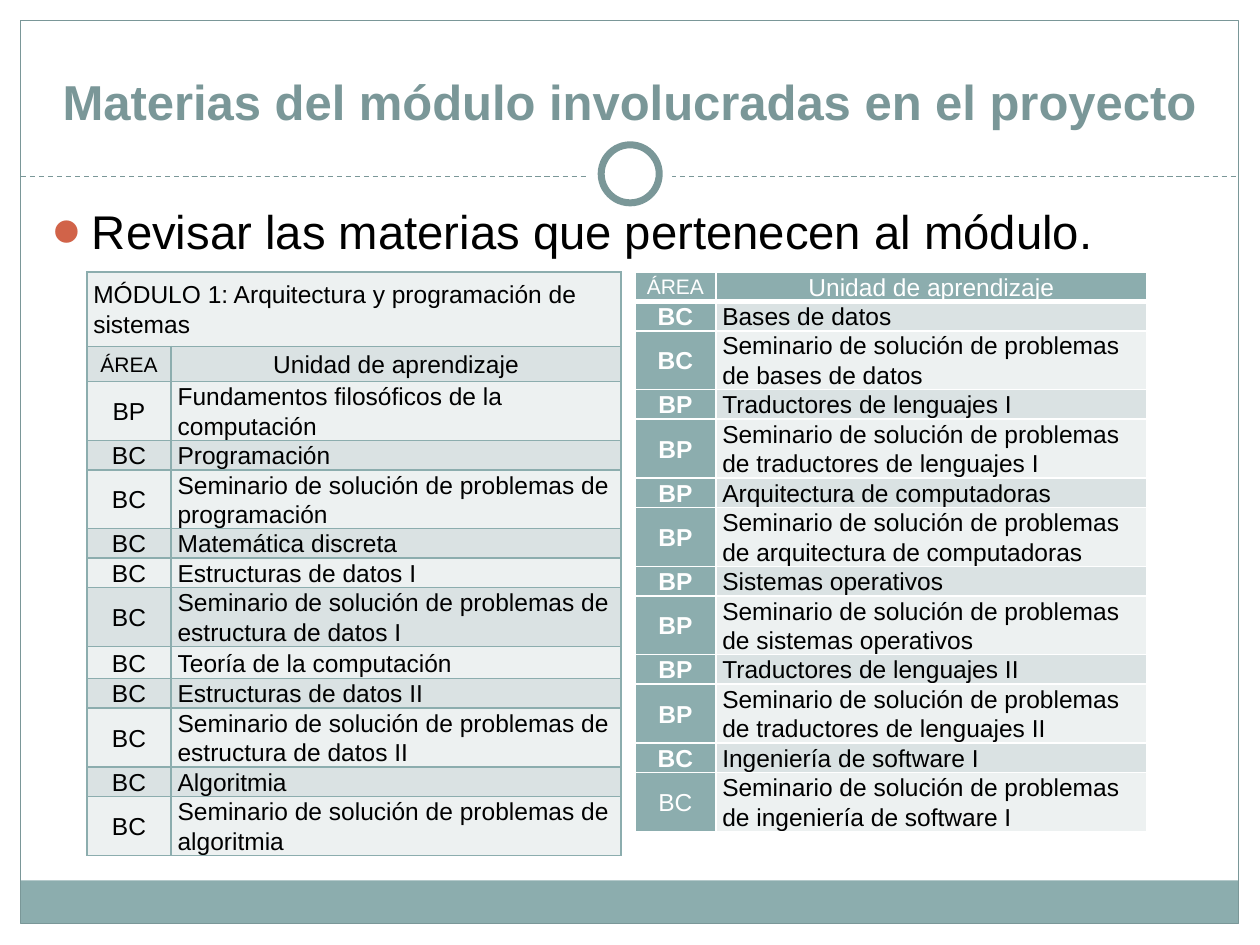
"""Build the slide listing the subjects of module 1 involved in the project."""
from dataclasses import dataclass
from typing import Optional

from lxml import etree
from pptx import Presentation
from pptx import util as u
from pptx.dml.color import RGBColor
from pptx.enum import shapes, text
from pptx.oxml.ns import qn

FONT = "Arial"
COLORS = {
    "white": "FFFFFF", "black": "000000", "teal": "8CADAE", "outline": "7A9798",
    "bullet": "D16349", "light": "EDF1F1", "dark": "DAE2E3",
}
LINE_HEIGHT = 0.59
SEMINAR = "Seminario de solución de problemas de "


@dataclass
class Decoration:
    kind: shapes.MSO_SHAPE
    left: float
    top: float
    width: float
    height: float
    fill: Optional[str] = None
    line: Optional[str] = None
    weight: float = 0.75


@dataclass
class Subject:
    area: str
    unit: str
    lines: int = 1
    bold: bool = True


@dataclass
class CellStyle:
    fill: str
    border: str
    color: str = "black"
    size: float = 14
    bold: bool = False
    centered: bool = False
    bottom: float = 1


RECT, OVAL = shapes.MSO_SHAPE.RECTANGLE, shapes.MSO_SHAPE.OVAL
DECORATIONS = [
    Decoration(RECT, 0, 0, 25.4, 3.86, "white"),
    Decoration(RECT, 0, 0, 0.42, 19.05, "white"),
    Decoration(RECT, 24.98, 0, 0.42, 19.05, "white"),
    Decoration(RECT, 0.42, 17.75, 24.55, 0.87, "teal"),
    Decoration(RECT, 0.42, 0.42, 24.55, 18.2, None, "outline"),
]
RINGS = [
    Decoration(OVAL, 11.85, 2.67, 1.7, 1.7, "white"),
    Decoration(OVAL, 12.12, 2.92, 1.17, 1.17, "white", "outline", 4),
]
FIRST_SUBJECTS = [
    Subject("BP", "Fundamentos filosóficos de la computación", 2),
    Subject("BC", "Programación"),
    Subject("BC", SEMINAR + "programación", 2),
    Subject("BC", "Matemática discreta"),
    Subject("BC", "Estructuras de datos I"),
    Subject("BC", SEMINAR + "estructura de datos I", 2),
    Subject("BC", "Teoría de la computación", 1.1),
    Subject("BC", "Estructuras de datos II"),
    Subject("BC", SEMINAR + "estructura de datos II", 2),
    Subject("BC", "Algoritmia"),
    Subject("BC", SEMINAR + "algoritmia", 2),
]
SECOND_SUBJECTS = [
    Subject("BC", "Bases de datos"),
    Subject("BC", SEMINAR + "bases de datos", 2),
    Subject("BP", "Traductores de lenguajes I"),
    Subject("BP", SEMINAR + "traductores de lenguajes I", 2),
    Subject("BP", "Arquitectura de computadoras"),
    Subject("BP", SEMINAR + "arquitectura de computadoras", 2),
    Subject("BP", "Sistemas operativos"),
    Subject("BP", SEMINAR + "sistemas operativos", 2),
    Subject("BP", "Traductores de lenguajes II"),
    Subject("BP", SEMINAR + "traductores de lenguajes II", 2),
    Subject("BC", "Ingeniería de software I"),
    Subject("BC", SEMINAR + "ingeniería de software I", 2, bold=False),
]


def rgb(name: str) -> RGBColor:
    return RGBColor.from_string(COLORS[name])


def add_run(paragraph, words: str, size: float, color: str, bold: bool = False) -> None:
    run = paragraph.add_run()
    run.text = words
    run.font.name, run.font.size, run.font.bold = FONT, u.Pt(size), bold
    run.font.color.rgb = rgb(color)


def draw_decoration(slide, part: Decoration) -> None:
    shape = slide.shapes.add_shape(
        part.kind, u.Cm(part.left), u.Cm(part.top), u.Cm(part.width), u.Cm(part.height))
    shape.shadow.inherit = False
    if part.fill:
        shape.fill.solid()
        shape.fill.fore_color.rgb = rgb(part.fill)
    else:
        shape.fill.background()
    if part.line:
        shape.line.color.rgb = rgb(part.line)
        shape.line.width = u.Pt(part.weight)
    else:
        shape.line.fill.background()


def draw_divider(slide) -> None:
    divider = slide.shapes.add_connector(
        shapes.MSO_CONNECTOR.STRAIGHT, u.Cm(0.42), u.Cm(3.56), u.Cm(24.98), u.Cm(3.56))
    divider.line.color.rgb = rgb("outline")
    divider.line.width = u.Pt(0.75)
    divider.line.dash_style = 4
    etree.SubElement(divider.element.spPr, qn("a:effectLst"))


def place(slide, holder, left: float, top: float, width: float, height: float):
    slide.shapes.element.append(holder.element)
    holder.left, holder.top = u.Cm(left), u.Cm(top)
    holder.width, holder.height = u.Cm(width), u.Cm(height)
    holder.text_frame.auto_size = text.MSO_AUTO_SIZE.NONE
    return holder.text_frame


def add_bullet(paragraph) -> None:
    props = paragraph._p.get_or_add_pPr()
    props.set("marL", str(u.Cm(0.76)))
    props.set("indent", str(-u.Cm(0.76)))
    color = etree.SubElement(props, qn("a:buClr"))
    etree.SubElement(color, qn("a:srgbClr"), val=COLORS["bullet"])
    etree.SubElement(props, qn("a:buSzPct"), val="85000")
    etree.SubElement(props, qn("a:buFont"), typeface=FONT)
    etree.SubElement(props, qn("a:buChar"), char="⚫")


def write_cell(cell, words: str, style: CellStyle) -> None:
    cell.margin_left = cell.margin_right = u.Cm(0.13)
    cell.margin_top = cell.margin_bottom = 0
    cell.vertical_anchor = text.MSO_ANCHOR.MIDDLE
    paragraph = cell.text_frame.paragraphs[0]
    paragraph.alignment = text.PP_ALIGN.CENTER if style.centered else text.PP_ALIGN.LEFT
    paragraph.line_spacing = 1.07
    if words:
        add_run(paragraph, words, style.size, style.color, style.bold)
    props = cell._tc.get_or_add_tcPr()
    for side, weight in (("L", 1), ("R", 1), ("T", 1), ("B", style.bottom)):
        border = etree.SubElement(props, qn(f"a:ln{side}"), w=str(u.Pt(weight)))
        paint = etree.SubElement(border, qn("a:solidFill"))
        etree.SubElement(paint, qn("a:srgbClr"), val=COLORS[style.border])
    cell.fill.solid()
    cell.fill.fore_color.rgb = rgb(style.fill)


def add_grid(slide, left: float, widths: list[float], heights: list[float]):
    grid = slide.shapes.add_table(
        len(heights), len(widths), u.Cm(left), u.Cm(5.48),
        u.Cm(sum(widths)), u.Cm(sum(heights))).table
    grid.first_row = grid.horz_banding = False
    for column, width in zip(grid.columns, widths):
        column.width = u.Cm(width)
    for row, height in zip(grid.rows, heights):
        row.height = u.Cm(height)
    return grid


def fill_subjects(grid, start: int, subjects: list[Subject], bands: tuple[str, str],
                  border: str, accent: Optional[str] = None) -> None:
    for index, subject in enumerate(subjects):
        band = bands[index % 2]
        write_cell(grid.cell(start + index, 0), subject.area, CellStyle(
            accent or band, border, "white" if accent else "black",
            bold=bool(accent) and subject.bold, centered=True))
        write_cell(grid.cell(start + index, 1), subject.unit, CellStyle(band, border))


def fill_header(grid, row: int, fill: str, border: str, color: str, bottom: float) -> None:
    for column, (words, size) in enumerate((("ÁREA", 12), ("Unidad de aprendizaje", 14))):
        write_cell(grid.cell(row, column), words, CellStyle(
            fill, border, color, size, centered=True, bottom=bottom))


def row_heights(subjects: list[Subject]) -> list[float]:
    return [subject.lines * LINE_HEIGHT for subject in subjects]


def main() -> None:
    deck = Presentation()
    deck.slide_width, deck.slide_height = u.Cm(25.4), u.Cm(19.05)
    slide = deck.slides.add_slide(deck.slide_layouts[1])
    heading, content = slide.placeholders
    for part in DECORATIONS:
        draw_decoration(slide, part)
    draw_divider(slide)
    for ring in RINGS:
        draw_decoration(slide, ring)

    title = place(slide, heading, 0.84, 0.64, 23.7, 2.11)
    title.vertical_anchor = text.MSO_ANCHOR.BOTTOM
    title.paragraphs[0].alignment = text.PP_ALIGN.CENTER
    add_run(title.paragraphs[0], "Materias del módulo involucradas en el proyecto",
            28, "outline", True)
    task = place(slide, content, 0.84, 3.94, 23.62, 12.7).paragraphs[0]
    add_bullet(task)
    add_run(task, "Revisar las materias que pertenecen al módulo.", 27, "black")

    first = add_grid(slide, 1.75, [1.7, 9.07], [1.5, 0.71] + row_heights(FIRST_SUBJECTS))
    module = CellStyle("light", "teal")
    write_cell(first.cell(0, 0), "MÓDULO 1: Arquitectura y programación de sistemas", module)
    write_cell(first.cell(0, 1), "", module)
    first.cell(0, 0).merge(first.cell(0, 1))
    fill_header(first, 1, "dark", "teal", "black", 1)
    fill_subjects(first, 2, FIRST_SUBJECTS, ("light", "dark"), "teal")

    second = add_grid(slide, 12.8, [1.63, 8.69], [LINE_HEIGHT] + row_heights(SECOND_SUBJECTS))
    fill_header(second, 0, "teal", "white", "white", 3)
    fill_subjects(second, 1, SECOND_SUBJECTS, ("dark", "light"), "white", "teal")
    deck.save("out.pptx")


if __name__ == "__main__":
    main()
